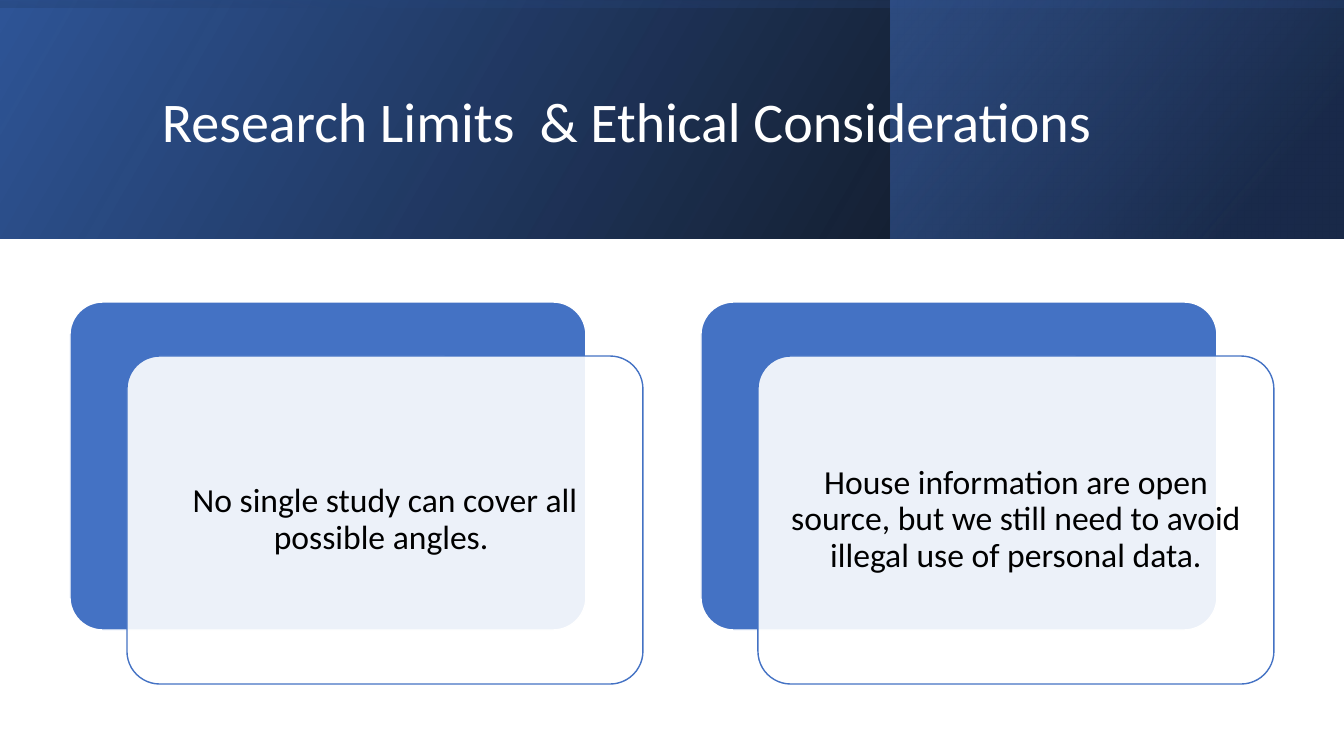
import pptx
import pptx.util
import pptx.dml.color
import pptx.enum.shapes
import pptx.enum.text
import pptx.oxml
import pptx.oxml.ns

KIND = pptx.enum.shapes.MSO_SHAPE
ALIGN = pptx.enum.text.PP_ALIGN
MIDDLE = pptx.enum.text.MSO_ANCHOR.MIDDLE
SCALE = 914400 / 100.8


def px(num):
    return pptx.util.Emu(round(num * SCALE))


def rgb(code):
    return pptx.dml.color.RGBColor.from_string(code)


def fade(shape, *parts):
    """Give the fill colours of a shape their opacity in percent, in order."""
    tag = pptx.oxml.ns.qn("a:srgbClr")
    for node, part in zip(shape._element.spPr.iter(tag), parts):
        alpha = pptx.oxml.parse_xml(
            f'<a:alpha {pptx.oxml.ns.nsdecls("a")} val="{part * 1000}"/>')
        node.append(alpha)


def write(frame, text, size=24, color="000000", align=ALIGN.CENTER, inset=10):
    frame.word_wrap = True
    frame.auto_size = pptx.enum.text.MSO_AUTO_SIZE.NONE
    frame.vertical_anchor = MIDDLE
    frame.margin_left = frame.margin_right = px(inset)
    frame.margin_top = frame.margin_bottom = px(inset)
    para = frame.paragraphs[0]
    para.alignment = align
    para.line_spacing = 0.9
    run = para.add_run()
    run.text = text
    run.font.name = "Calibri"
    run.font.size = pptx.util.Pt(size)
    run.font.color.rgb = rgb(color)


class Deck:
    """Holds the style and the current slide."""
    blue = "4472C4"
    white = "FFFFFF"

    def __init__(self):
        self.file = pptx.Presentation()
        self.file.slide_width = px(1344)
        self.file.slide_height = px(756)
        self.slide = self.file.slides.add_slide(self.file.slide_layouts[5])

    def shape(self, kind, box):
        item = self.slide.shapes.add_shape(kind, *map(px, box))
        item.shadow.inherit = False
        return item

    def band(self, box, stops, angle, turn=0):
        """Draw a mirrored gradient; stops are (position, colour, opacity)."""
        item = self.shape(KIND.RECTANGLE, box)
        item.rotation = turn
        item._element.spPr.xfrm.set("flipH", "1")
        item.fill.gradient()
        item.fill.gradient_angle = angle
        for stop, (place, color, _) in zip(item.fill.gradient_stops, stops):
            stop.position = place / 100
            stop.color.rgb = rgb(color)
        fade(item, *(part for _, _, part in stops))
        item.line.fill.background()

    def title(self, text, box):
        item = self.slide.shapes.title
        item.left, item.top, item.width, item.height = map(px, box)
        write(item.text_frame, text, 40, self.white, ALIGN.LEFT)
        self.slide.shapes._spTree.append(item._element)

    def panel(self, box, fill, line, part=100):
        item = self.shape(KIND.ROUNDED_RECTANGLE, box)
        item.adjustments[0] = 0.1
        item.fill.solid()
        item.fill.fore_color.rgb = rgb(fill)
        if part < 100:
            fade(item, part)
        item.line.color.rgb = rgb(line)
        item.line.width = pptx.util.Pt(1)

    def card(self, left, top, text):
        wide, high = 516, 328
        self.panel((left, top, wide, high), self.blue, self.white)
        left, top = left + 57, top + 54
        self.panel((left, top, wide, high), self.white, self.blue, 90)
        box = (left + 10, top + 10, wide - 20, high - 20)
        item = self.slide.shapes.add_textbox(*map(px, box))
        write(item.text_frame, text)


def main():
    deck = Deck()
    deck.band((0, 0, 1344, 239),
              [(0, "000000", 96), (100, "2F5597", 100)], 30)
    deck.band((891, 0, 452, 239),
              [(19, "203864", 68), (100, "4472C4", 48)], 40)
    deck.band((552, -552, 239, 1344),
              [(23, "2F5597", 16), (99, "000000", 45)], 10, turn=270)
    deck.title("Research Limits  & Ethical Considerations",
               (152, 38, 1072, 173))
    notes = [
        "No single study can cover all possible angles. ",
        "House information are open source, but we still need to avoid "
        "illegal use of personal data.",
    ]
    for col, text in enumerate(notes):
        deck.card(70 + 631 * col, 302, text)
    deck.file.save("out.pptx")


if __name__ == "__main__":
    main()
